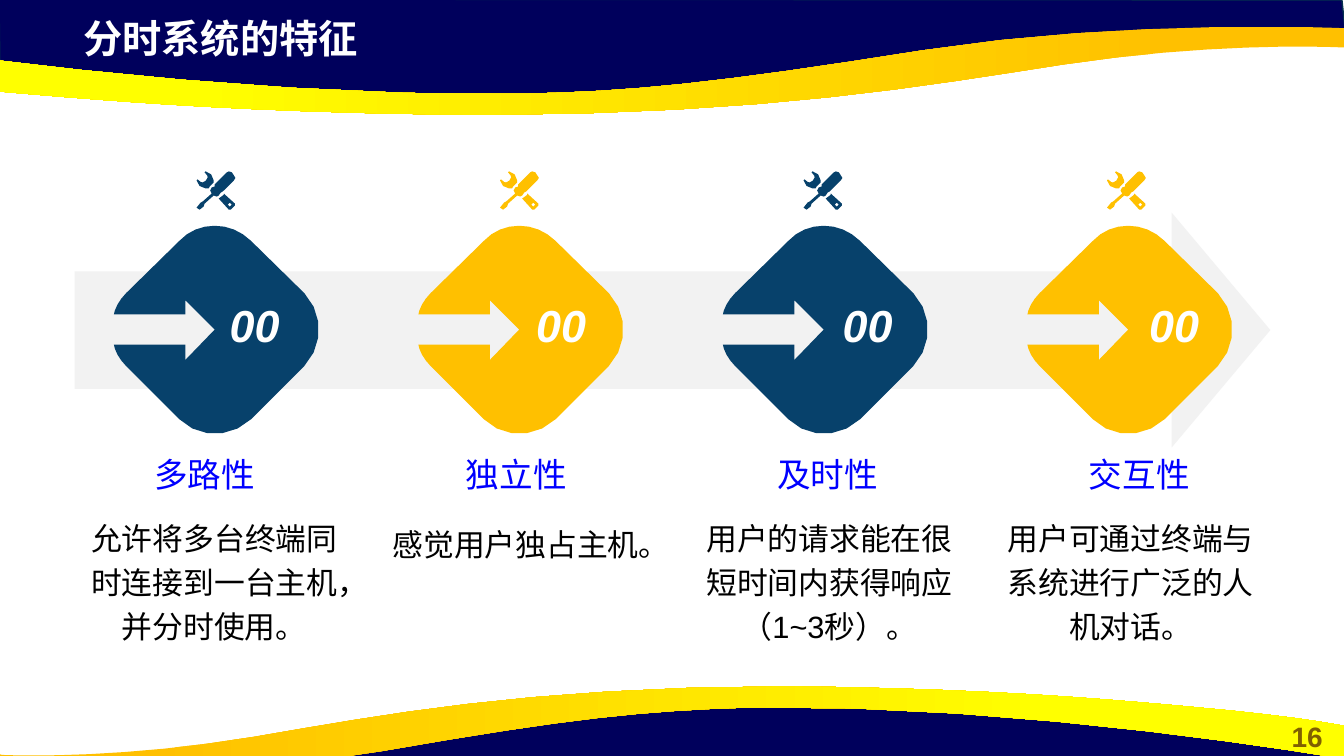
from math import ceil, dist, sqrt

from pptx import Presentation
from pptx.dml.color import RGBColor
from pptx.enum.shapes import MSO_SHAPE as Preset
from pptx.enum.text import MSO_ANCHOR as Anchor, PP_ALIGN as Align
from pptx.util import Inches, Pt

WHITE = RGBColor(0xFF, 0xFF, 0xFF)
BLACK = RGBColor(0x00, 0x00, 0x00)
NAVY = RGBColor(0x00, 0x00, 0x5C)
NAVY_EDGE = RGBColor(0x05, 0x30, 0x4F)
GOLD = RGBColor(0xFF, 0xC0, 0x00)
YELLOW = RGBColor(0xFF, 0xFF, 0x00)
STEEL = RGBColor(0x07, 0x41, 0x6B)
PALE = RGBColor(0xF2, 0xF2, 0xF2)
BLUE = RGBColor(0x00, 0x00, 0xFF)
OLIVE = RGBColor(0x80, 0x60, 0x00)

UNITS_PER_INCH = 100
MAX_STEPS = 8

TOP_BAND = ("M -1 -1, L 0 70 293 102 559 100 795 88 1016 50 1238 33 "
            "1335 38 1331 0, Z")
BOTTOM_BAND = ("M 1333 794, L 1332 724 1040 691 773 693 538 706 317 743 "
               "95 760 -3 756 1 793, Z")
TOP_RIBBON = (
    "M 483 114, C 443 114 401 113 356 112, C 206 108 110 100 36 94, "
    "C -88 84 -130 75 -133 75, L -133 42, C -133 42 218 98 517 93, "
    "C 626 91 708 83 915 50, C 1121 18 1333 28 1333 28, L 1333 47 1330 47, "
    "C 1305 46 1195 43 1055 64, C 918 85 762 113 483 114, Z")
BOTTOM_RIBBON = (
    "M 772 681, C 809 681 847 682 888 683, C 1025 687 1112 695 1179 701, "
    "C 1292 711 1330 720 1333 720, L 1333 753, C 1333 753 1014 697 742 702, "
    "C 642 705 567 712 380 745, C 192 778 -1 768 -1 768, L -1 748 2 749, "
    "C 25 750 125 752 252 731, C 376 710 519 682 772 681, Z")
DIAMOND = (
    "M 100 0, C 113 0 126 5 136 15, L 189 67, C 208 87 208 119 189 139, "
    "L 136 192, C 116 211 84 211 65 192, L 12 139, C 7 134 3 128 1 122, "
    "L 0 118 71 118 71 133 100 103 71 74 71 88 0 88 1 84, "
    "C 3 78 7 72 12 67, L 65 15, C 74 5 87 0 100 0, Z")
TOOLS = (
    "M 33 31, L 31 33 33 35 35 33, Z, "
    "M 27 22, L 38 32 38 34 34 38 32 38 22 27 26 24 27 23, Z, "
    "M 32 0, L 35 1 37 4, C 39 5 39 8 37 9, L 26 20 24 21 22 24 20 25 17 24 "
    "8 32 7 35 3 38 0 36 4 31 6 30 15 22, C 13 20 13 18 15 16, "
    "L 18 15 18 13 30 1, Z, "
    "M 9 0, C 13 0 17 5 17 9, L 17 11 13 15 12 17 9 17, "
    "C 5 17 0 13 0 9, L 1 8, C 5 11 4 11 6 11, "
    "C 8 11 11 8 11 6, C 11 4 11 5 8 1, Z")

FEATURES = [
    ("多路性", "允许将多台终端同时连接到一台主机，并分时使用。", 0.74, 5.03),
    ("独立性", "感觉用户独占主机。", 3.73, 5.09),
    ("及时性", "用户的请求能在很短时间内获得响应（1~3秒）。", 6.84, 5.03),
    ("交互性", "用户可通过终端与系统进行广泛的人机对话。", 9.83, 5.03),
]


def curve_points(start, controls):
    knots = [start, *controls]
    steps = min(MAX_STEPS, ceil(sqrt(dist(start, controls[-1])) / 1.8))
    for step in range(1, steps + 1):
        t = step / steps
        weights = ((1 - t) ** 3, 3 * t * (1 - t) ** 2, 3 * t * t * (1 - t), t ** 3)
        yield tuple(sum(w * knot[axis] for w, knot in zip(weights, knots))
                    for axis in (0, 1))


def contours(outline):
    points = []
    for command in outline.split(","):
        letter, *numbers = command.split()
        values = [float(number) for number in numbers]
        pairs = list(zip(values[::2], values[1::2]))
        if letter == "Z":
            yield points
            points = []
        elif letter == "C":
            points.extend(curve_points(points[-1], pairs))
        else:
            points.extend(pairs)


def add_outline(page, outline, left=0, top=0):
    builder = None
    for contour in contours(outline):
        points = [(Inches(left + x / UNITS_PER_INCH), Inches(top + y / UNITS_PER_INCH))
                  for x, y in contour]
        if builder is None:
            builder = page.shapes.build_freeform(*points[0], scale=1.0)
        else:
            builder.move_to(*points[0])
        builder.add_line_segments(points[1:], close=True)
    shape = builder.convert_to_shape()
    shape.shadow.inherit = False
    shape.line.fill.background()
    return shape


def paint(shape, color):
    shape.fill.solid()
    shape.fill.fore_color.rgb = color


def add_band(page, outline):
    band = add_outline(page, outline)
    paint(band, NAVY)
    band.line.color.rgb = NAVY_EDGE
    band.line.width = Pt(1)


def add_ribbon(page, outline, angle):
    ribbon = add_outline(page, outline)
    ribbon.fill.gradient()
    ribbon.fill.gradient_angle = angle
    for stop, position, color in zip(ribbon.fill.gradient_stops,
                                     (0.11, 0.78), (GOLD, YELLOW)):
        stop.position = position
        stop.color.rgb = color


def add_text(page, text, place, size, color, align=Align.CENTER, bold=False,
             italic=False, spacing=None, anchor=Anchor.TOP):
    box = page.shapes.add_textbox(*map(Inches, place))
    frame = box.text_frame
    frame.word_wrap = True
    frame.vertical_anchor = anchor
    para = frame.paragraphs[0]
    para.text = text
    para.alignment = align
    para.line_spacing = spacing
    font = para.font
    font.name, font.size = "Arial", Pt(size)
    font.bold, font.italic = bold, italic
    font.color.rgb = color


def add_timeline_arrow(page):
    arrow = page.shapes.add_shape(
        Preset.RIGHT_ARROW, *map(Inches, (0.74, 2.11, 11.86, 2.33)))
    arrow.adjustments[1] = 0.42
    arrow.shadow.inherit = False
    arrow.line.fill.background()
    paint(arrow, PALE)


def add_feature(page, index, name, detail, left, top):
    color = (STEEL, GOLD)[index % 2]
    paint(add_outline(page, DIAMOND, 1.13 + 3.02 * index, 2.24), color)
    paint(add_outline(page, TOOLS, 1.95 + 3.01 * index, 1.7), color)
    add_text(page, "00", (2.14 + 3.04 * index, 2.85, 0.77, 0.74), 32, WHITE,
             bold=True, italic=True, anchor=Anchor.MIDDLE)
    add_text(page, name, (0.74 + 3.09 * index, 4.45, 2.58, 0.43), 24, BLUE)
    add_text(page, detail, (left, top, 2.77, 1.6), 22, BLACK, spacing=1.2)


def main():
    deck = Presentation()
    deck.slide_width, deck.slide_height = Inches(13.33), Inches(7.5)
    page = deck.slides.add_slide(deck.slide_layouts[6])
    add_band(page, TOP_BAND)
    add_ribbon(page, TOP_RIBBON, 180)
    add_band(page, BOTTOM_BAND)
    add_ribbon(page, BOTTOM_RIBBON, 0)
    add_text(page, "16", (12.6, 7.09, 0.73, 0.44), 20, OLIVE, bold=True)
    add_text(page, "分时系统的特征", (0.73, 0.09, 7.68, 0.57), 28, WHITE,
             align=Align.LEFT, bold=True)
    add_timeline_arrow(page)
    for index, feature in enumerate(FEATURES):
        add_feature(page, index, *feature)
    deck.save("out.pptx")


if __name__ == "__main__":
    main()
